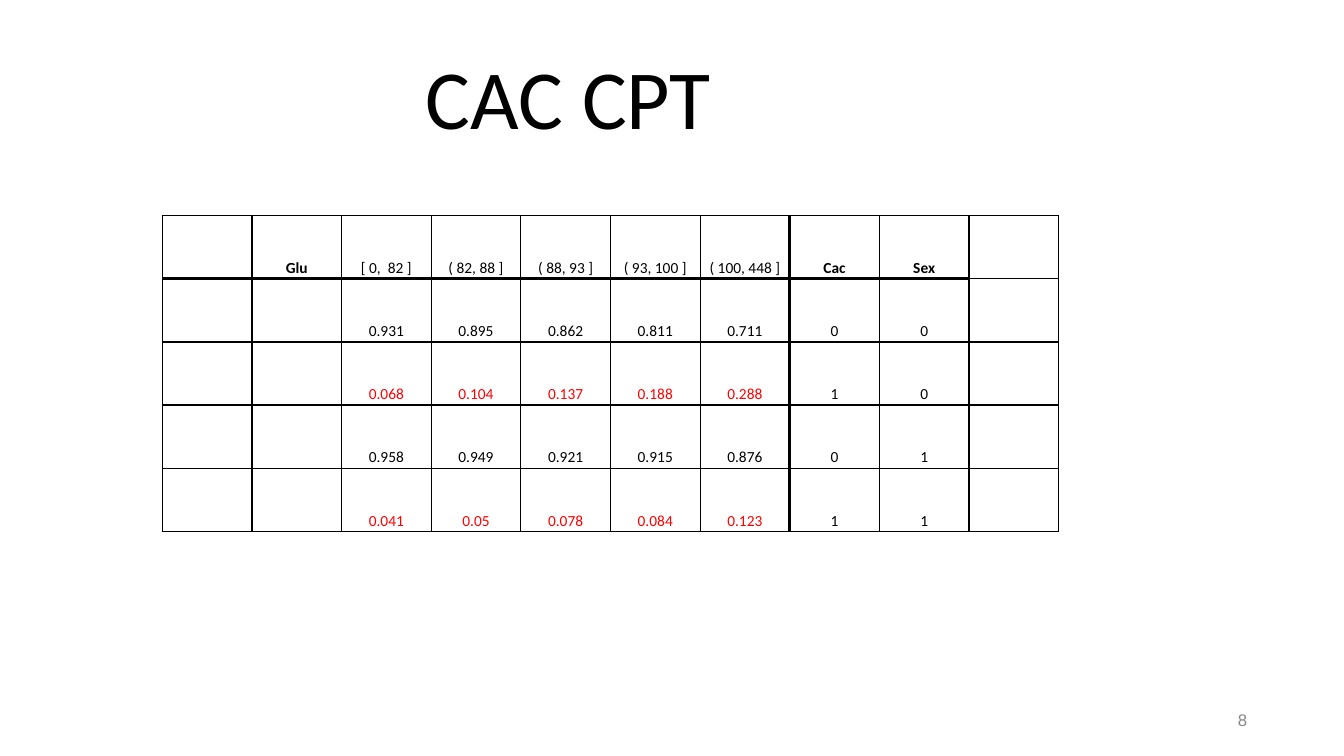
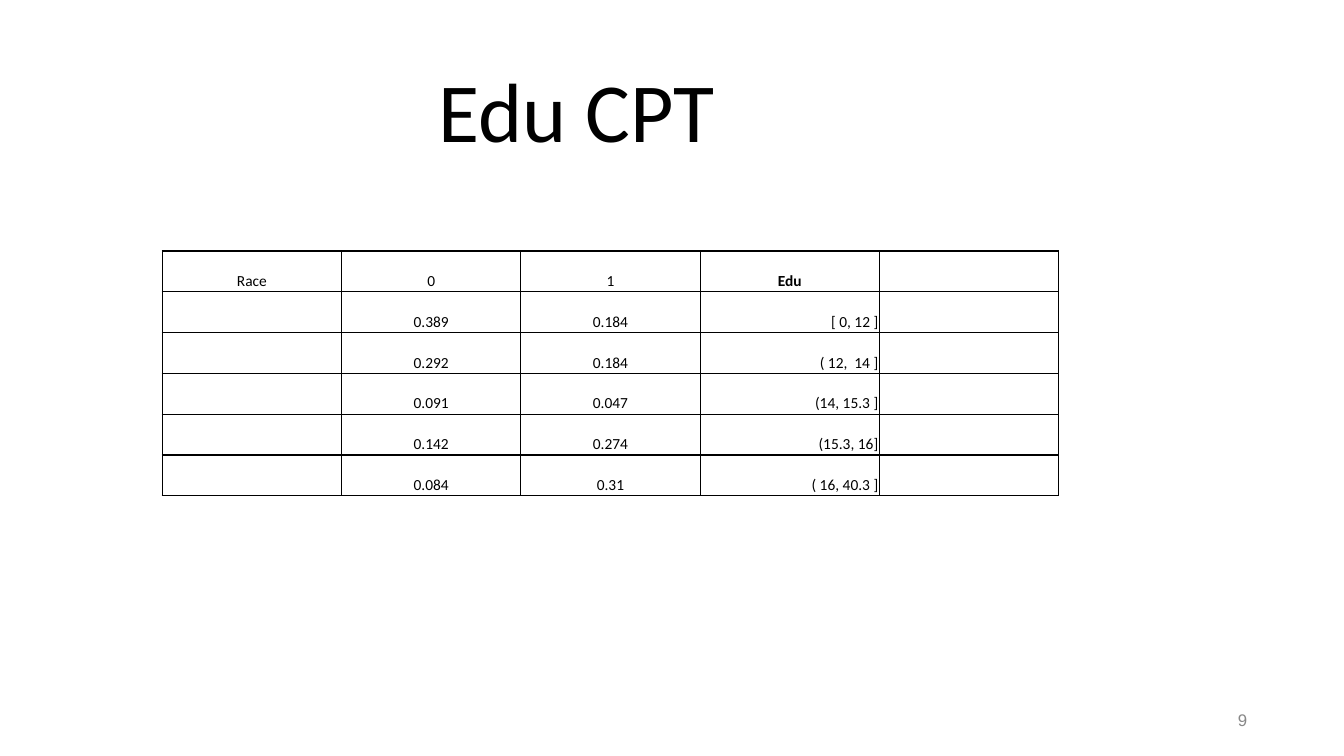
import pptx
import pptx.util
import pptx.dml.color
import pptx.enum.text
import pptx.oxml.ns
import lxml.etree

Inches, Pt = pptx.util.Inches, pptx.util.Pt
ALIGN = pptx.enum.text.PP_ALIGN
ANCHOR = pptx.enum.text.MSO_ANCHOR

COLORS = {"ink": "000000", "alert": "FF0000", "muted": "888888"}
TITLE = {"name": "Calibri", "size": Pt(60), "color": "ink"}
BODY = {"name": "Calibri", "size": Pt(11), "color": "ink"}
NUMBER = {"name": "Arial", "size": Pt(12), "color": "muted"}
THIN, THICK = 1, 2.25
TABLE_LEFT, TABLE_WIDTH = 1.61, 8.89

SLIDES = [
    {
        "number": "8",
        "title": "CAC CPT",
        "title_box": (4.17, 0.52, 3.77, 1.1),
        "top": 2.14,
        "height": 3.13,
        "rows": [
            ["", "Glu", "[ 0,  82 ]", "( 82, 88 ]", "( 88, 93 ]", "( 93, 100 ]", "( 100, 448 ]", "Cac", "Sex", ""],
            ["", "", "0.931", "0.895", "0.862", "0.811", "0.711", "0", "0", ""],
            ["", "", "0.068", "0.104", "0.137", "0.188", "0.288", "1", "0", ""],
            ["", "", "0.958", "0.949", "0.921", "0.915", "0.876", "0", "1", ""],
            ["", "", "0.041", "0.05", "0.078", "0.084", "0.123", "1", "1", ""],
        ],
        "bold": {"Glu", "Cac", "Sex"},
        "red_rows": {2, 4},
        "red_cols": range(2, 7),
        "thick_below": {0, 2},
        "thick_cols": range(9),
        "thick_after": {6},
        "right_col": None,
    },
    {
        "number": "9",
        "title": "Edu CPT",
        "title_box": (4.3, 0.64, 3.49, 1.1),
        "top": 2.49,
        "height": 2.43,
        "rows": [
            ["Race", "0", "1", "Edu", ""],
            ["", "0.389", "0.184", "[ 0, 12 ]", ""],
            ["", "0.292", "0.184", "( 12,  14 ]", ""],
            ["", "0.091", "0.047", "(14, 15.3 ]", ""],
            ["", "0.142", "0.274", "(15.3, 16]", ""],
            ["", "0.084", "0.31", "( 16, 40.3 ]", ""],
        ],
        "bold": {"Edu"},
        "red_rows": set(),
        "red_cols": (),
        "thick_below": set(),
        "thick_cols": (),
        "thick_after": set(),
        "right_col": 3,
    },
]


def set_attrs(obj, values):
    for name, value in values.items():
        setattr(obj, name, value)


def write(p, text, style, align, **extra):
    r = p.add_run()
    r.text = text
    font = {**style, **extra}
    color = font.pop("color")
    set_attrs(r.font, font)
    r.font.color.rgb = pptx.dml.color.RGBColor.from_string(COLORS[color])
    p.alignment = align


def add_text(s, box, text, style, align=ALIGN.LEFT, anchor=ANCHOR.TOP, spacing=1.0):
    tf = s.shapes.add_textbox(*map(Inches, box)).text_frame
    set_attrs(tf, {"word_wrap": True, "vertical_anchor": anchor})
    set_attrs(tf, {f"margin_{side}": Inches(0.05) for side in ("left", "top", "right", "bottom")})
    p = tf.paragraphs[0]
    p.line_spacing = spacing
    write(p, text, style, align)


def set_borders(cell, widths):
    qn = pptx.oxml.ns.qn
    tcPr = cell._tc.get_or_add_tcPr()
    for side, width in widths.items():
        ln = lxml.etree.SubElement(tcPr, qn(f"a:ln{side}"), w=str(int(Pt(width))))
        fill = lxml.etree.SubElement(ln, qn("a:solidFill"))
        lxml.etree.SubElement(fill, qn("a:srgbClr"), val=COLORS["ink"])


def add_table(s, data):
    rows = data["rows"]
    n_rows, n_cols = len(rows), len(rows[0])
    shape = s.shapes.add_table(n_rows, n_cols, Inches(TABLE_LEFT), Inches(data["top"]),
                               Inches(TABLE_WIDTH), Inches(data["height"]))
    table = shape.table
    set_attrs(table, {"first_row": False, "horz_banding": False})
    for col in table.columns:
        col.width = Inches(TABLE_WIDTH / n_cols)
    for row in table.rows:
        row.height = Inches(data["height"] / n_rows)

    def across(row, col):
        return THICK if row in data["thick_below"] and col in data["thick_cols"] else THIN

    def down(col):
        return THICK if col in data["thick_after"] else THIN

    for i, row in enumerate(rows):
        for j, text in enumerate(row):
            cell = table.cell(i, j)
            set_attrs(cell, {f"margin_{side}": Inches(0.01) for side in ("left", "top", "right", "bottom")})
            cell.vertical_anchor = ANCHOR.BOTTOM
            set_borders(cell, {"L": down(j - 1), "R": down(j), "T": across(i - 1, j), "B": across(i, j)})
            cell.fill.background()
            if text:
                red = i in data["red_rows"] and j in data["red_cols"]
                align = ALIGN.RIGHT if i > 0 and j == data["right_col"] else ALIGN.CENTER
                write(cell.text_frame.paragraphs[0], text, BODY, align,
                      bold=text in data["bold"], color="alert" if red else "ink")


def main():
    prs = pptx.Presentation()
    set_attrs(prs, {"slide_width": Inches(13.33), "slide_height": Inches(7.5)})
    for data in SLIDES:
        s = prs.slides.add_slide(prs.slide_layouts[6])
        add_text(s, (9.42, 7, 3, 0.29), data["number"], NUMBER, ALIGN.RIGHT, ANCHOR.MIDDLE)
        add_table(s, data)
        add_text(s, data["title_box"], data["title"], TITLE, spacing=0.9)
    prs.save("out.pptx")


if __name__ == "__main__":
    main()
